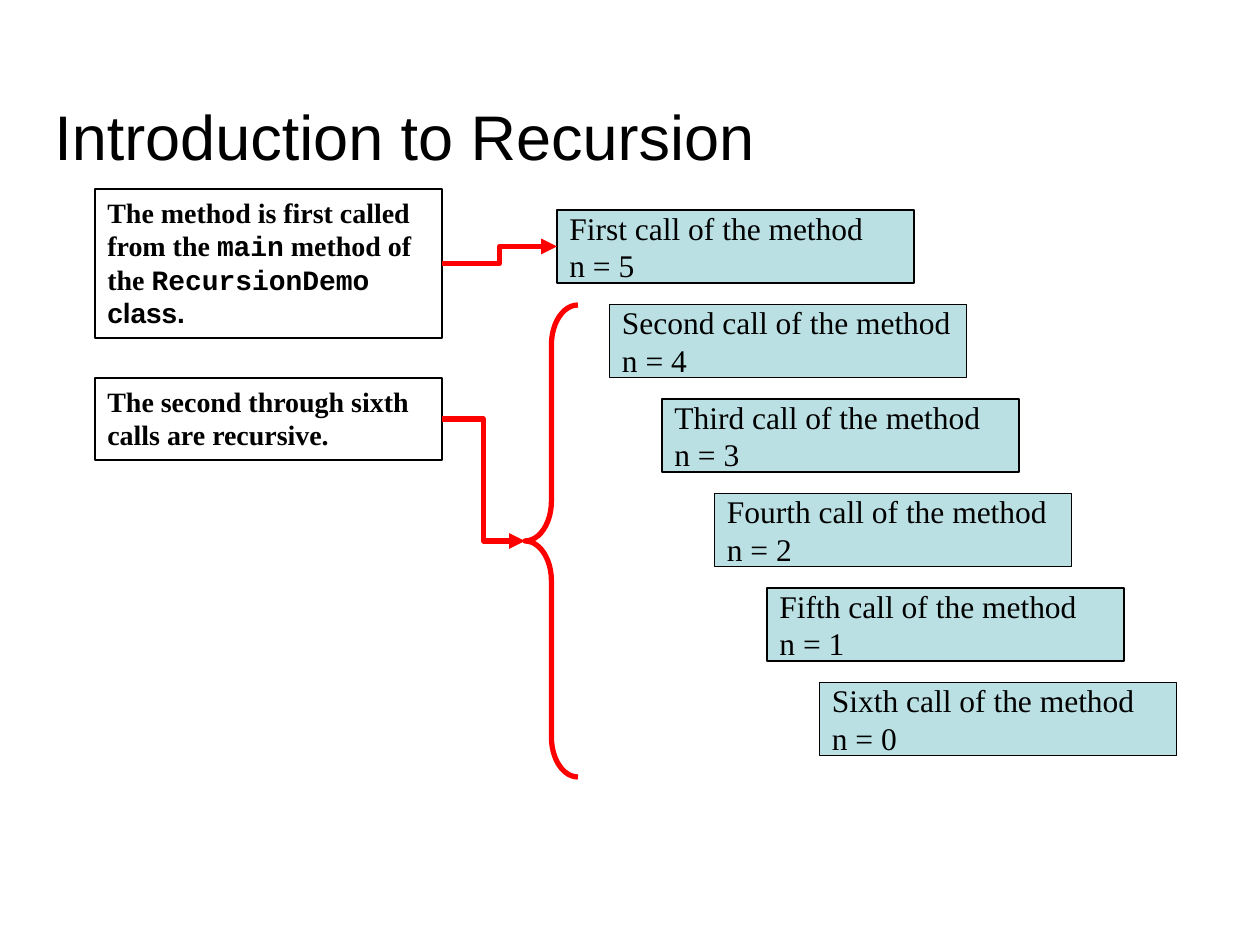
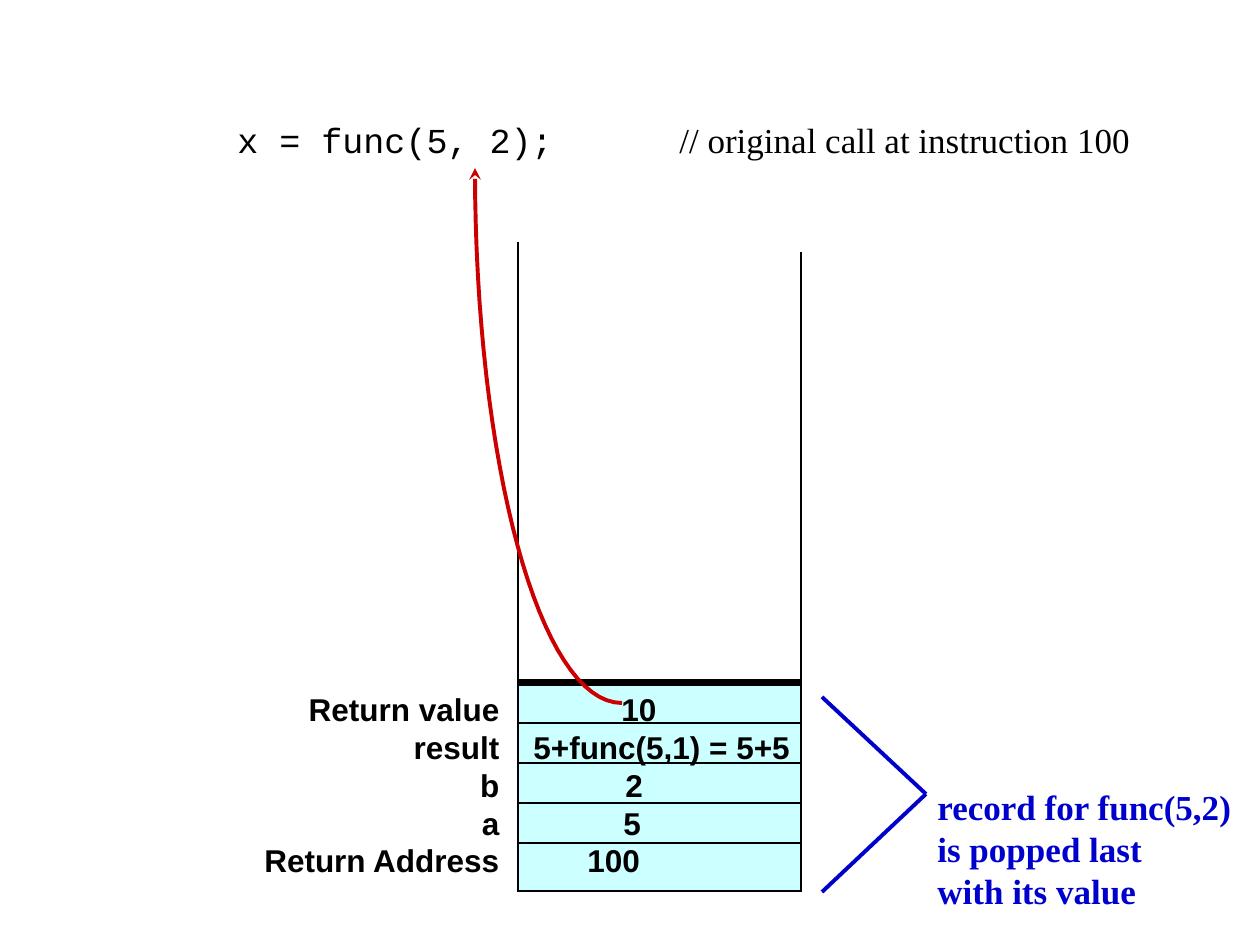
from lxml.etree import SubElement
from pptx import Presentation
from pptx.dml.color import RGBColor
from pptx.enum.shapes import MSO_CONNECTOR as CONN, MSO_SHAPE as SHAPE
from pptx.enum.text import MSO_ANCHOR as ANCHOR
from pptx.oxml.ns import qn
from pptx.util import Emu, Pt

C = {"ink": "000000", "call": "BBE0E3", "record": "CCFFFF",
     "arrow": "FF0000", "popped": "0000CC", "return": "CC0000"}
SANS, SERIF, MONO = "Arial", "Times New Roman", "Courier New"
TITLE = {"size": 36, "name": SANS}
CALL = {"size": 18, "name": SERIF}
NOTE = {"size": 16, "name": SERIF, "bold": True}
STACK = {"size": 18, "name": SANS, "bold": True}
CODE = {"size": 20, "name": MONO}
POPPED = {"size": 20, "name": SERIF, "bold": True, "color": "popped"}

CALLS = ["First", "Second", "Third", "Fourth", "Fifth", "Sixth"]
ENTRY_NOTE = [("The method is first called from the ", SERIF), ("main", MONO),
              (" method of the ", SERIF), ("RecursionDemo ", MONO), ("class.", SANS)]
RECURSIVE_NOTE = [("The second through sixth calls are recursive.", SERIF)]
RECORD = [("Return value", "10", 104), ("result", "5+func(5,1) = 5+5", 16),
          ("b", "2", 108), ("a", "5", 106), ("Return Address", "100", 70)]


def px(n):
    return Emu(round(n * 914400 / 126))


def rgb(key):
    return RGBColor.from_string(C[key])


def style_line(shape, color, width, **ends):
    shape.line.color.rgb = rgb(color)
    shape.line.width = Pt(width)
    for end, kind in ends.items():
        SubElement(shape.line._get_or_add_ln(), qn(f"a:{end}"), type=kind)


def write(shape, paragraphs, fmt, anchor=ANCHOR.TOP, tabs=None):
    tf = shape.text_frame
    for key, value in {"word_wrap": True, "vertical_anchor": anchor,
                       "margin_right": 0}.items():
        setattr(tf, key, value)
    for i, runs in enumerate(paragraphs):
        p = tf.paragraphs[0] if i == 0 else tf.add_paragraph()
        if tabs:
            tab_list = SubElement(p._p.get_or_add_pPr(), qn("a:tabLst"))
            for pos, align in tabs[i]:
                SubElement(tab_list, qn("a:tab"), pos=str(px(pos)), algn=align)
        p.alignment = 1
        p.line_spacing = Pt(fmt["size"] * 1.2)
        for text, font in runs:
            r = p.add_run()
            r.text = text
            values = {"name": font, "size": Pt(fmt["size"]), "bold": fmt.get("bold", False)}
            for key, value in values.items():
                setattr(r.font, key, value)
            r.font.color.rgb = rgb(fmt.get("color", "ink"))


def add_text(s, box, paragraphs, fmt, **options):
    write(s.shapes.add_textbox(*map(px, box)), paragraphs, fmt, **options)


def add_shape(s, kind, box, fill, line, width):
    sp = s.shapes.add_shape(kind, *map(px, box))
    sp.shadow.inherit = False
    if fill:
        sp.fill.solid()
        sp.fill.fore_color.rgb = rgb(fill)
    else:
        sp.fill.background()
    style_line(sp, line, width)
    return sp


def add_line(s, start, end, color, width, kind=CONN.STRAIGHT, **ends):
    line = s.shapes.add_connector(kind, *map(px, start + end))
    SubElement(line._element.spPr, qn("a:effectLst"))
    style_line(line, color, width, **ends)
    return line


def add_call_steps(s, left, top):
    steps = []
    for i, order in enumerate(CALLS):
        box = (left + 52.5 * i, top + 94.5 * i, 357, 73)
        step = add_shape(s, SHAPE.RECTANGLE, box, "call", "ink", 0.75)
        write(step, [[(f"{order} call of the method", SERIF)], [(f"n = {5 - i}", SERIF)]],
              CALL, ANCHOR.MIDDLE)
        steps.append(step)
    return steps


def add_note(s, box, runs, target):
    note = add_shape(s, SHAPE.RECTANGLE, box, None, "ink", 1)
    write(note, [runs], NOTE)
    left, top, width, height = box
    start = (left + width, top + height // 2)
    arrow = add_line(s, start, start, "arrow", 3, CONN.ELBOW, tailEnd="triangle")
    arrow.begin_connect(note, 3)
    arrow.end_connect(target, 1)


def add_stack(s, left, top, width, height):
    right, bottom = left + width, top + height
    record_top = bottom - 209
    add_shape(s, SHAPE.RECTANGLE, (left, record_top, width, 208), "record", "ink", 1)
    label_width = 268
    rows = [[(f"\t{label}\t{value}", SANS)] for label, value, _ in RECORD]
    tabs = [[(label_width, "r"), (label_width + 18 + indent, "l")] for *_, indent in RECORD]
    add_text(s, (left - label_width - 31, record_top + 1, 600, 202), rows, STACK, tabs=tabs)
    for i in range(len(RECORD)):
        y = record_top + 40 * i
        add_line(s, (left, y), (right, y), "ink", 1 if i else 4)
    for x, y in ((left, top), (right, top + 10)):
        add_line(s, (x, y), (x, bottom), "ink", 1)


def add_popped_label(s, left, top, width, height):
    tip = (left + width, top + height // 2)
    for y in (top, top + height):
        add_line(s, (left, y), tip, "popped", 2.25)
    lines = ["record for func(5,2)", "is popped last", "with its value"]
    add_text(s, (tip[0] - 1, tip[1] - 15, 321, 140),
             [[(line, SERIF)] for line in lines], POPPED)


def add_return_arrow(s, left, top, width, height, steps=32):
    corners = [(width, height), (0.44 * width, height), (0, 0.55 * height), (0, 0)]
    points = []
    for i in range(steps + 1):
        t = i / steps
        weights = ((1 - t) ** 3, 3 * t * (1 - t) ** 2, 3 * t * t * (1 - t), t ** 3)
        x, y = (sum(w * c[axis] for w, c in zip(weights, corners)) for axis in (0, 1))
        points.append((px(left + x), px(top + y)))
    builder = s.shapes.build_freeform(*points[0])
    builder.add_line_segments(points[1:], close=False)
    arrow = builder.convert_to_shape()
    arrow.shadow.inherit = False
    arrow.fill.background()
    style_line(arrow, "return", 2.25, tailEnd="stealth")


def calls_slide(s):
    add_text(s, (42, 42, 1187, 137), [[("Introduction to Recursion", SANS)]],
             TITLE, anchor=ANCHOR.BOTTOM)
    steps = add_call_steps(s, 557, 210)
    brace = add_shape(s, SHAPE.LEFT_BRACE, (525, 305, 53, 472), None, "arrow", 3)
    brace.adjustments[0] = 0.75
    add_note(s, (95, 189, 347, 149), ENTRY_NOTE, steps[0])
    add_note(s, (95, 378, 347, 82), RECURSIVE_NOTE, brace)


def stack_slide(s):
    add_stack(s, 518, 242, 283, 650)
    add_popped_label(s, 822, 697, 104, 195)
    add_return_arrow(s, 475, 168, 147, 535)
    add_text(s, (225, 112, 1020, 55),
             [[("x = func(5, 2);\t", MONO), ("// original call at instruction 100", SERIF)]],
             CODE, tabs=[[(442, "l")]])


def main():
    prs = Presentation()
    prs.slide_width, prs.slide_height = px(1260), px(945)
    for build in (calls_slide, stack_slide):
        build(prs.slides.add_slide(prs.slide_layouts[6]))
    prs.save("out.pptx")


if __name__ == "__main__":
    main()
